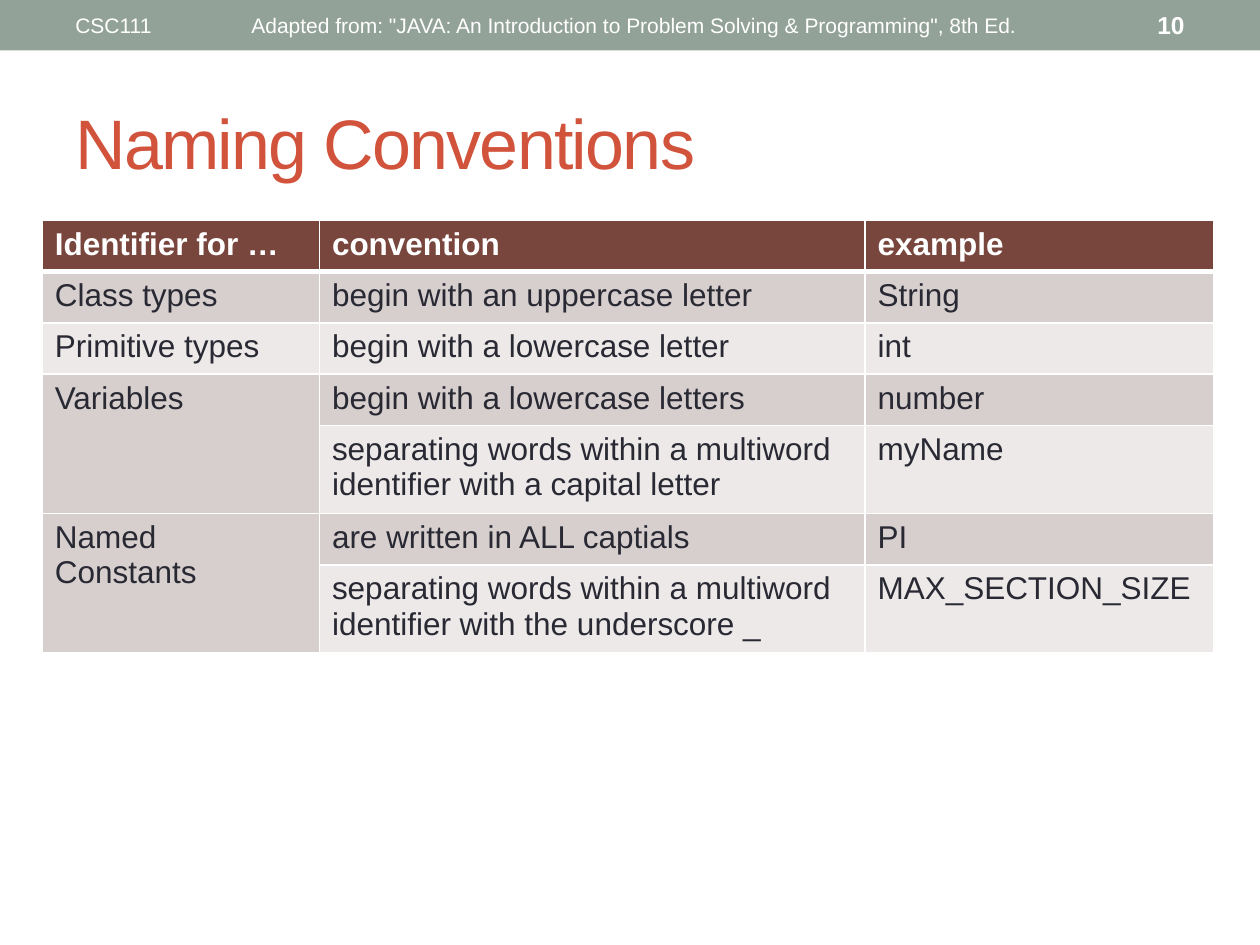
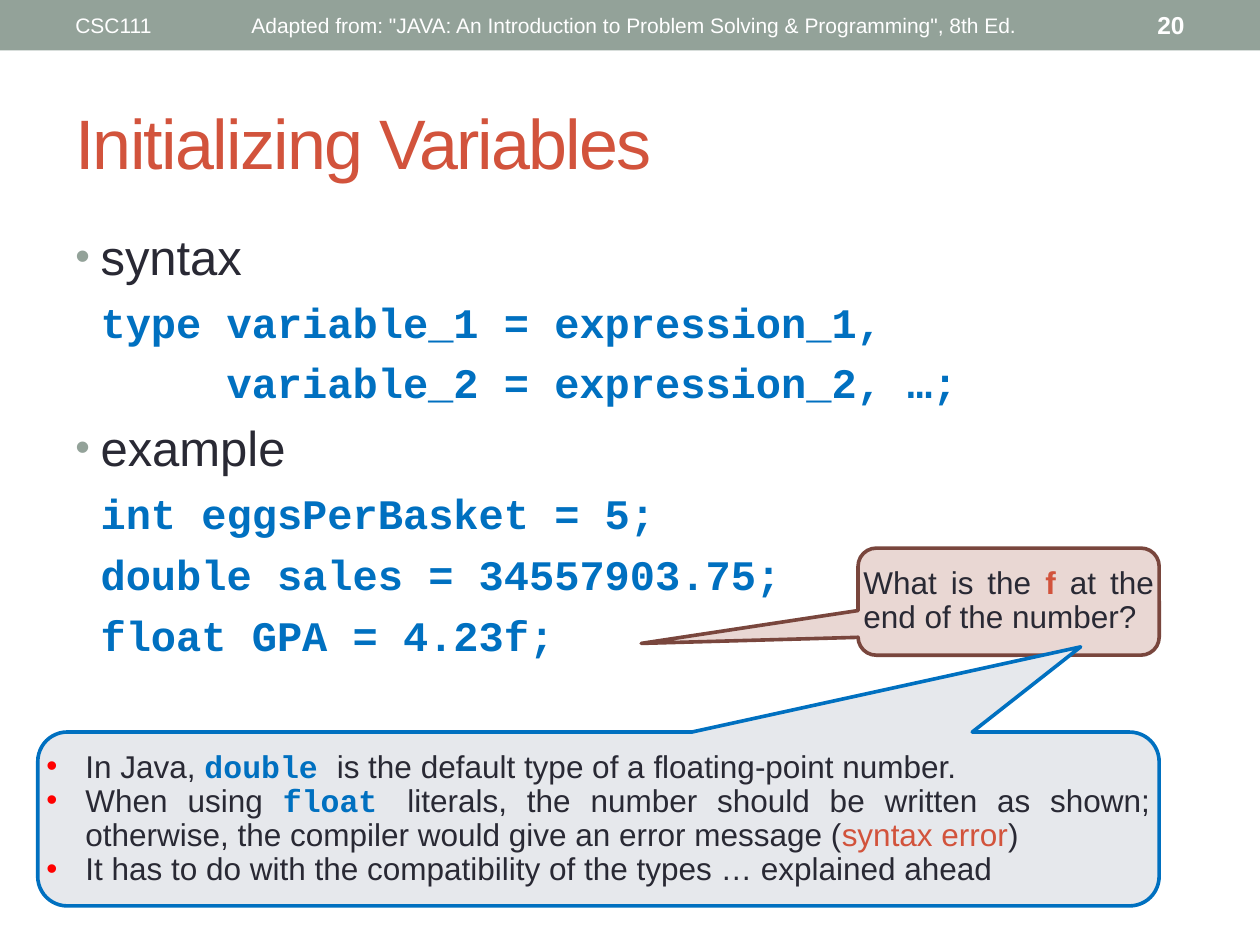
from dataclasses import dataclass, field
from lxml.etree import SubElement
from pptx import Presentation
from pptx.dml.color import RGBColor as Rgb
from pptx.enum.shapes import MSO_SHAPE as Shape
from pptx.enum.text import MSO_ANCHOR as Anchor, PP_ALIGN as Align
from pptx.oxml import parse_xml
from pptx.oxml.ns import nsdecls, qn
from pptx.util import Inches, Pt

COLUMNS, ROWS = 100, 75
WIDTH, HEIGHT = Inches(10), Inches(7.5)


@dataclass(frozen=True)
class Theme:
    band: str = "93A299"
    white: str = "FFFFFF"
    accent: str = "D2533C"
    ink: str = "292934"
    code: str = "0070C0"
    brown: str = "79463D"
    rows: tuple = ("D7CFCE", "ECE9E8")
    question: str = "E9D7D3"
    answer: str = "E6E8EC"
    bullet: str = "FF0000"
    styles: dict = field(default_factory=lambda: {
        "title": ("Arial", 40, False, "D2533C"),
        "band": ("Arial", 12, False, "FFFFFF"),
        "number": ("Arial", 14, True, "FFFFFF"),
        "head": ("Arial", 18, True, "FFFFFF"),
        "text": ("Arial", 18, False, "292934"),
        "alert": ("Arial", 18, False, "D2533C"),
        "letter": ("Arial", 18, True, "D2533C"),
        "keyword": ("Courier New", 18, True, "0070C0"),
        "topic": ("Arial", 28, False, "292934"),
        "code": ("Courier New", 24, True, "0070C0"),
    })


THEME = Theme()
CONVENTIONS = [
    ("Identifier for …", "convention", "example"),
    ("Class types", "begin with an uppercase letter", "String"),
    ("Primitive types", "begin with a lowercase letter", "int"),
    ("Variables", "begin with a lowercase letters", "number"),
    ("", "separating words within a multiword identifier with a capital letter", "myName"),
    ("Named Constants", "are written in ALL captials", "PI"),
    ("", "separating words within a multiword identifier with the underscore _",
     "MAX_SECTION_SIZE"),
]
SYNTAX = [
    ("topic", "syntax", 2),
    ("code", "type variable_1 = expression_1,", 2),
    ("code", "variable_2 = expression_2, …;", 12),
    ("topic", "example", 2),
    ("code", "int eggsPerBasket = 5;", 2),
    ("code", "double sales = 34557903.75;", 2),
    ("code", "float GPA = 4.23f;", 2),
]
QUESTION = [[("What is the ", "text"), ("f", "letter"), (" at the end of the number?", "text")]]
ANSWER = [
    [("In Java, ", "text"), ("double ", "keyword"),
     ("is the default type of a floating-point number.", "text")],
    [("When using ", "text"), ("float ", "keyword"),
     ("literals, the number should be written as shown; otherwise, the compiler "
      "would give an error message (", "text"), ("syntax error", "alert"), (")", "text")],
    [("It has to do with the compatibility of the types … explained ahead", "text")],
]


def across(columns):
    return int(WIDTH * columns / COLUMNS)


def down(rows):
    return int(HEIGHT * rows / ROWS)


def place(left, top, width, height):
    return across(left), down(top), across(width), down(height)


def apply(target, **values):
    for name, value in values.items():
        setattr(target, name, value)


def add_run(paragraph, text, style):
    name, size, bold, color = THEME.styles[style]
    run = paragraph.add_run()
    run.text = text
    apply(run.font, name=name, size=Pt(size), bold=bold)
    run.font.color.rgb = Rgb.from_string(color)
    return run


def indent(paragraph, left, color=None, percent=100):
    properties = paragraph._p.get_or_add_pPr()
    properties.set("marL", str(across(left)))
    properties.set("indent", str(-across(left) if color else 0))
    if color:
        holder = SubElement(properties, qn("a:buClr"))
        SubElement(holder, qn("a:srgbClr"), val=color)
        SubElement(holder.getparent(), qn("a:buSzPct"), val=str(percent * 1000))
        SubElement(properties, qn("a:buFont"), typeface="Arial")
        SubElement(properties, qn("a:buChar"), char="•")


def each_paragraph(frame, items):
    for index, item in enumerate(items):
        yield (frame.add_paragraph() if index else frame.paragraphs[0]), item


def add_text(slide, area, text, style, align=Align.LEFT):
    frame = slide.shapes.add_textbox(*place(*area)).text_frame
    apply(frame, word_wrap=True, vertical_anchor=Anchor.MIDDLE)
    frame.paragraphs[0].alignment = align
    return add_run(frame.paragraphs[0], text, style)


def add_filled(slide, kind, area, fill, line=None):
    shape = slide.shapes.add_shape(kind, *place(*area))
    shape.shadow.inherit = False
    shape.fill.solid()
    shape.fill.fore_color.rgb = Rgb.from_string(fill)
    if line:
        shape.line.color.rgb = Rgb.from_string(line)
        shape.line.width = Pt(2.08)
    else:
        shape.line.fill.background()
    return shape


def add_callout(slide, area, tail, colors, paragraphs, bullet=None):
    shape = add_filled(slide, Shape.ROUNDED_RECTANGULAR_CALLOUT, area, *colors)
    for index, value in enumerate((*tail, 0.17)):
        shape.adjustments[index] = value
    frame = shape.text_frame
    apply(frame, word_wrap=True, vertical_anchor=Anchor.MIDDLE,
          margin_left=0, margin_right=0, margin_top=0, margin_bottom=0)
    for paragraph, runs in each_paragraph(frame, paragraphs):
        apply(paragraph, alignment=Align.JUSTIFY, line_spacing=0.9)
        if bullet:
            indent(paragraph, 3.1, bullet)
        for text, style in runs:
            add_run(paragraph, text, style)


def add_body(slide, area, lines):
    frame = slide.shapes.add_textbox(*place(*area)).text_frame
    frame.word_wrap = True
    for paragraph, (style, text, left) in each_paragraph(frame, lines):
        paragraph.space_before = Pt(6)
        indent(paragraph, left, THEME.band if style == "topic" else None, 85)
        add_run(paragraph, text, style)


def add_borders(cell, bottom):
    properties = cell._tc.get_or_add_tcPr()
    sides = {"lnL": 1, "lnR": 1, "lnT": 1, "lnB": bottom}
    for index, (side, width) in enumerate(sides.items()):
        properties.insert(index, parse_xml(
            f'<a:{side} {nsdecls("a")} w="{Pt(width)}"><a:solidFill>'
            f'<a:srgbClr val="{THEME.white}"/></a:solidFill></a:{side}>'))


def add_table(slide, left, top, widths, heights, content):
    area = place(left, top, sum(widths), sum(heights))
    table = slide.shapes.add_table(len(heights), len(widths), *area).table
    for column, width in zip(table.columns, widths):
        column.width = across(width)
    for row, height in zip(table.rows, heights):
        row.height = down(height)
    for r, texts in enumerate(content):
        for c, text in enumerate(texts):
            cell = table.cell(r, c)
            cell.fill.solid()
            fill = THEME.rows[(r + 1) % 2] if r else THEME.brown
            cell.fill.fore_color.rgb = Rgb.from_string(fill)
            add_borders(cell, 1 if r else 3)
            if text:
                add_run(cell.text_frame.paragraphs[0], text, "text" if r else "head")
            else:
                table.cell(r - 1, c).merge(cell)


def add_base(presentation, title, number):
    slide = presentation.slides.add_slide(presentation.slide_layouts[6])
    add_filled(slide, Shape.RECTANGLE, (0, 0, COLUMNS, 4), THEME.band)
    heading = add_text(slide, (5, 5.8, 90, 10.8), title, "title")
    heading._r.get_or_add_rPr().set("spc", "-100")
    add_text(slide, (5, 0.2, 31.7, 3.6), "CSC111", "band")
    add_text(slide, (18.2, 0.2, 64.3, 3.6),
             'Adapted from: "JAVA: An Introduction to Problem Solving & Programming", 8th Ed.',
             "band", Align.CENTER)
    add_text(slide, (83.3, 0.2, 11.7, 3.6), str(number), "number", Align.RIGHT)
    return slide


def add_naming(presentation):
    slide = add_base(presentation, "Naming Conventions", 10)
    heights = [4.07 if len(row[1]) < 40 else 6.6 for row in CONVENTIONS]
    add_table(slide, 3.35, 17.5, (22, 43.3, 27.7), heights, CONVENTIONS)


def add_initializing(presentation):
    slide = add_base(presentation, "Initializing Variables", 20)
    add_body(slide, (5, 17.5, 90, 53.3), SYNTAX)
    add_callout(slide, (68.1, 43.5, 23.9, 8.5), (-1.22, 0.39),
                (THEME.question, THEME.brown), QUESTION)
    add_callout(slide, (3, 58.1, 89, 13.8), (0.43, -0.99),
                (THEME.answer, THEME.code), ANSWER, THEME.bullet)


def main():
    presentation = Presentation()
    apply(presentation, slide_width=WIDTH, slide_height=HEIGHT)
    add_naming(presentation)
    add_initializing(presentation)
    presentation.save("out.pptx")


main()
